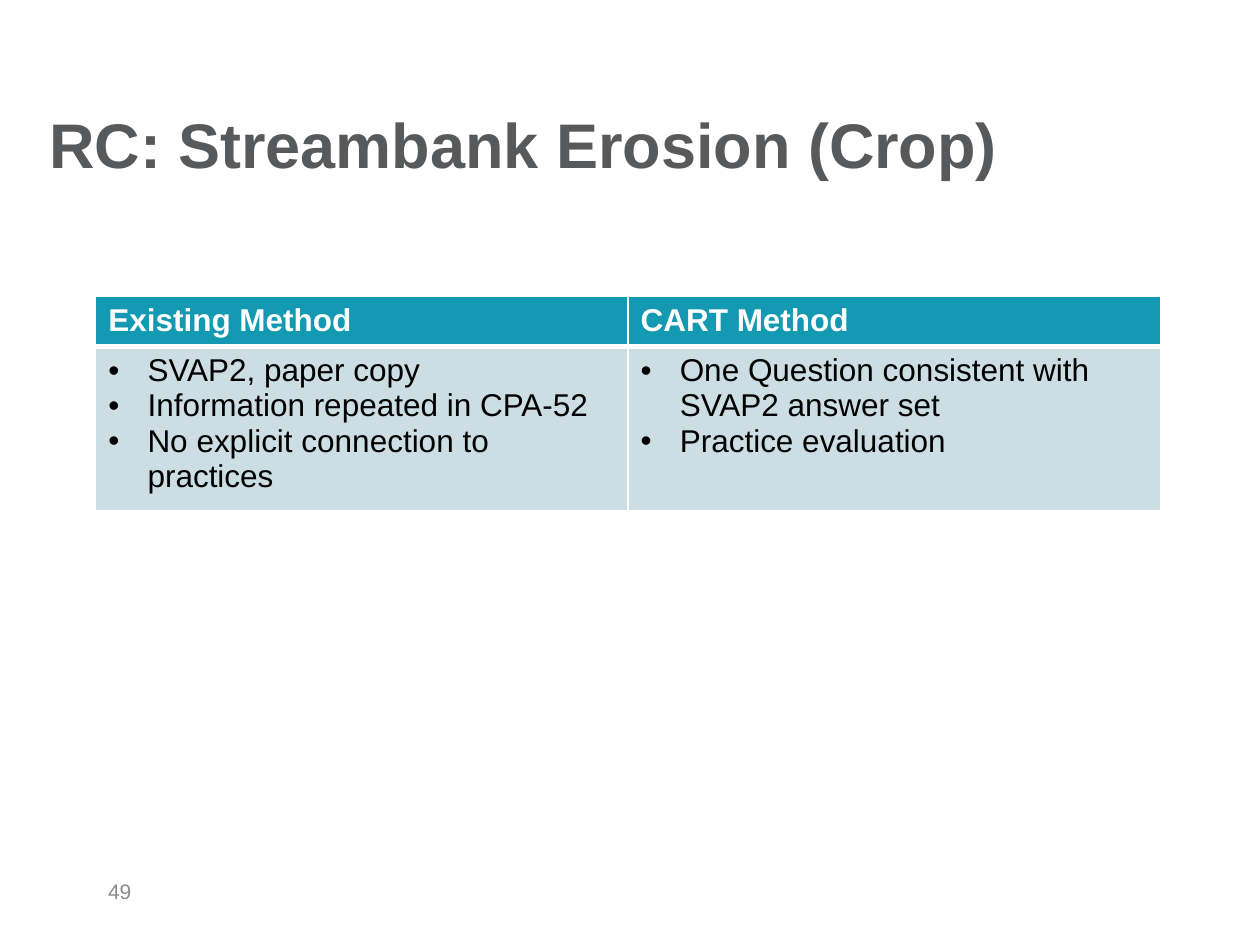
from lxml import etree
from pptx import Presentation
from pptx.dml.color import RGBColor
from pptx.enum.text import MSO_ANCHOR
from pptx.oxml.ns import qn
from pptx.util import Cm, Pt

MIDDLE = MSO_ANCHOR.MIDDLE
FONT = "Arial"
WHITE = RGBColor(0xFF, 0xFF, 0xFF)
BLACK = RGBColor(0, 0, 0)
TITLE_GRAY = RGBColor(0x58, 0x59, 0x5B)
NUMBER_GRAY = RGBColor(0x8C, 0x8C, 0x8C)
TEAL = RGBColor(0x13, 0x9A, 0xB2)
PALE_BLUE = RGBColor(0xCC, 0xDE, 0xE4)

METHODS = {
    "Existing Method": [
        "SVAP2, paper copy",
        "Information repeated in CPA-52",
        "No explicit connection to practices",
    ],
    "CART Method": [
        "One Question consistent with SVAP2 answer set",
        "Practice evaluation",
    ],
}


def add_run(p, text, size, color, bold=False):
    r = p.add_run()
    r.text = text
    r.font.name = FONT
    r.font.size = Pt(size)
    r.font.bold = bold
    r.font.color.rgb = color


def add_text(slide, box, text, size, color, bold=False):
    tf = slide.shapes.add_textbox(*box).text_frame
    tf.word_wrap = True
    tf.vertical_anchor = MIDDLE
    add_run(tf.paragraphs[0], text, size, color, bold)


def add_bullet(p):
    pPr = p._p.get_or_add_pPr()
    pPr.set("marL", str(Cm(0.79)))
    pPr.set("indent", str(-Cm(0.79)))
    etree.SubElement(pPr, qn("a:buFont"), typeface=FONT)
    etree.SubElement(pPr, qn("a:buChar"), char="•")


def set_borders(cell, **widths):
    """Draw white borders, with widths in points for left, top, right and bottom."""
    tcPr = cell._tc.get_or_add_tcPr()
    for side in ("left", "top", "right", "bottom"):
        width = Pt(widths.get(side, 1))
        ln = etree.SubElement(tcPr, qn(f"a:ln{side[0].upper()}"), w=str(width))
        fill = etree.SubElement(ln, qn("a:solidFill"))
        etree.SubElement(fill, qn("a:srgbClr"), val=str(WHITE))


def fill_cell(cell, color):
    cell.fill.solid()
    cell.fill.fore_color.rgb = color


def add_method_table(slide):
    table = slide.shapes.add_table(
        2, len(METHODS), Cm(1.93), Cm(5.97), Cm(21.46), Cm(4.08)
    ).table
    table.rows[0].height = Cm(0.98)
    table.rows[1].height = Cm(3.1)
    for col, (heading, points) in enumerate(METHODS.items()):
        header, body = table.cell(0, col), table.cell(1, col)
        set_borders(header, bottom=3)
        fill_cell(header, TEAL)
        add_run(header.text_frame.paragraphs[0], heading, 18, WHITE, bold=True)

        set_borders(body, top=3)
        fill_cell(body, PALE_BLUE)
        tf = body.text_frame
        for i, point in enumerate(points):
            p = tf.add_paragraph() if i else tf.paragraphs[0]
            add_bullet(p)
            add_run(p, point, 18, BLACK)


def main():
    prs = Presentation()
    prs.slide_width, prs.slide_height = Cm(25.4), Cm(19.05)
    slide = prs.slides.add_slide(prs.slide_layouts[6])
    add_text(slide, (Cm(0.74), Cm(1.57), Cm(22.86), Cm(2.62)),
             "RC: Streambank Erosion (Crop)", 36, TITLE_GRAY, bold=True)
    add_method_table(slide)
    add_text(slide, (Cm(1.93), Cm(17.45), Cm(5.92), Cm(1.02)),
             "49", 12, NUMBER_GRAY)
    prs.save("out.pptx")


if __name__ == "__main__":
    main()
